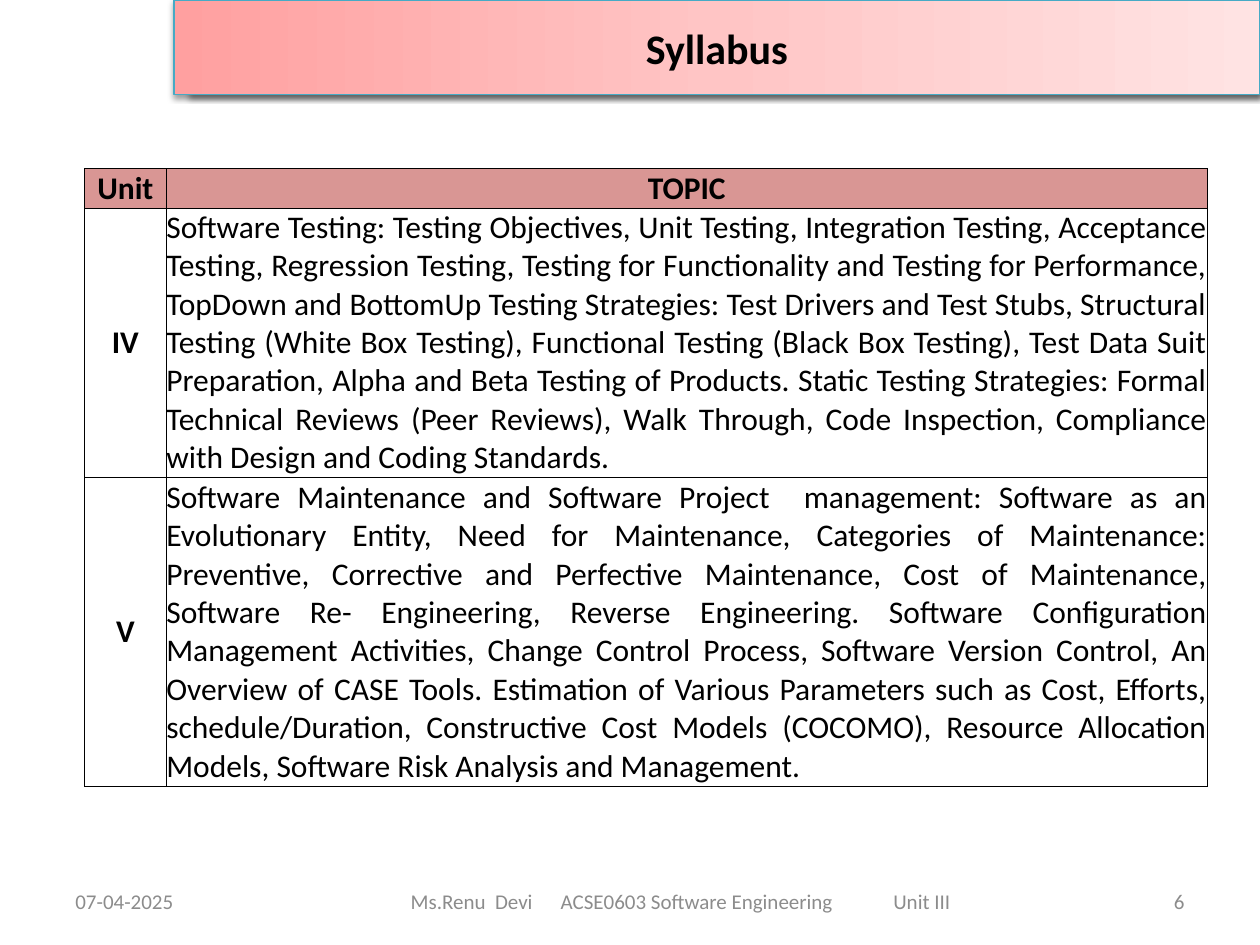
"""Build the syllabus slide: title banner, unit table and footer."""
import copy

import pptx
import pptx.dml.color
import pptx.enum.shapes
import pptx.enum.text
import pptx.oxml
import pptx.oxml.ns
import pptx.util

ALIGN = pptx.enum.text.PP_ALIGN
MIDDLE = pptx.enum.text.MSO_ANCHOR.MIDDLE
NS = pptx.oxml.ns.nsdecls("a")
W, H = 10, 7.5
FONT = "Calibri"
BLACK, GREY, WHITE = "000000", "8C8C8C", "FFFFFF"
ROSE, RED, TEAL = "D99694", "C0504D", "46AAC5"
GRADIENT = ["FFA0A0", "FFC5C5", "FFE3E3"]

HEADERS = ["Unit", "TOPIC"]
UNITS = [
    ("IV", "Software Testing: Testing Objectives, Unit Testing, Integration Testing, "
     "Acceptance Testing, Regression Testing, Testing for Functionality and Testing for "
     "Performance, TopDown and BottomUp Testing Strategies: Test Drivers and Test Stubs, "
     "Structural Testing (White Box Testing), Functional Testing (Black Box Testing), Test "
     "Data Suit Preparation, Alpha and Beta Testing of Products. Static Testing Strategies: "
     "Formal Technical Reviews (Peer Reviews), Walk Through, Code Inspection, Compliance "
     "with Design and Coding Standards."),
    ("V", "Software Maintenance and Software Project  management: Software as an "
     "Evolutionary Entity, Need for Maintenance, Categories of Maintenance: Preventive, "
     "Corrective and Perfective Maintenance, Cost of Maintenance, Software Re- Engineering, "
     "Reverse Engineering. Software Configuration Management Activities, Change Control "
     "Process, Software Version Control, An Overview of CASE Tools. Estimation of Various "
     "Parameters such as Cost, Efforts, schedule/Duration, Constructive Cost Models "
     "(COCOMO), Resource Allocation Models, Software Risk Analysis and Management."),
]


def rgb(value):
    """Turn a hex string into a colour."""
    return pptx.dml.color.RGBColor.from_string(value)


def inches(*values):
    """Turn numbers into lengths in inches."""
    return [pptx.util.Inches(v) for v in values]


def write(tf, text, size, color, align, bold=False):
    """Put one run into the first paragraph of a text frame."""
    tf.word_wrap = True
    p = tf.paragraphs[0]
    p.alignment = align
    r = p.add_run()
    r.text = text
    r.font.name = FONT
    r.font.size = pptx.util.Pt(size)
    r.font.bold = bold
    r.font.color.rgb = rgb(color)
    return p


def shadowed_bar(s, box, color):
    """Draw a bar with a thin outline and a soft shadow."""
    sp = s.shapes.add_shape(pptx.enum.shapes.MSO_SHAPE.RECTANGLE, *inches(*box))
    sp.fill.solid()
    sp.fill.fore_color.rgb = rgb(color)
    sp.line.color.rgb = rgb(TEAL)
    sp.line.width = pptx.util.Pt(0.75)
    sp.shadow.inherit = False
    effects = sp._element.spPr.find(pptx.oxml.ns.qn("a:effectLst"))
    effects.append(pptx.oxml.parse_xml(
        f'<a:outerShdw {NS} blurRad="40000" dist="20000" dir="5400000" rotWithShape="0">'
        f'<a:srgbClr val="{BLACK}"><a:alpha val="38000"/></a:srgbClr></a:outerShdw>'))
    return sp


def banner(s, box, title):
    """Layer the gradient title bar over a bar that deepens its shadow."""
    x, y, w, h = box
    inset = 0.12
    shadowed_bar(s, (x + inset, y, w - inset, h), RED)
    sp = shadowed_bar(s, box, GRADIENT[0])
    sp.fill.gradient()
    sp.fill.gradient_angle = 0
    first = sp.fill.gradient_stops[0]._gs
    first.addnext(copy.deepcopy(first))
    for i, (stop, color) in enumerate(zip(sp.fill.gradient_stops, GRADIENT)):
        stop.color.rgb = rgb(color)
        stop.position = i / (len(GRADIENT) - 1)
    sp.text_frame.vertical_anchor = MIDDLE
    write(sp.text_frame, title, 24, BLACK, ALIGN.CENTER, True)


def style_cell(cell, text, align, bold, fill):
    """Fill, border and label one table cell."""
    cell.margin_left = cell.margin_right = cell.margin_top = cell.margin_bottom = 0
    cell.vertical_anchor = MIDDLE
    cell.fill.solid()
    cell.fill.fore_color.rgb = rgb(fill)
    for i, side in enumerate("LRTB"):
        cell._tc.tcPr.insert(i, pptx.oxml.parse_xml(
            f'<a:ln{side} {NS} w="6350"><a:solidFill><a:srgbClr val="{BLACK}"/>'
            f'</a:solidFill></a:ln{side}>'))
    write(cell.text_frame, text, 18, BLACK, align, bold)


def unit_table(s, box, widths, heights):
    """Lay out the header row and one row for each unit."""
    rows = [HEADERS, *UNITS]
    table = s.shapes.add_table(len(rows), len(HEADERS), *inches(*box)).table
    table.first_row = table.horz_banding = False
    for column, width in zip(table.columns, inches(*widths)):
        column.width = width
    for row, height in zip(table.rows, inches(*heights)):
        row.height = height
    for i, texts in enumerate(rows):
        for j, text in enumerate(texts):
            topic = i > 0 and j > 0
            style_cell(table.cell(i, j), text, ALIGN.JUSTIFY if topic else ALIGN.CENTER,
                       not topic, WHITE if i else ROSE)


def footer_text(s, box, text, align):
    """Add one grey footer box."""
    tf = s.shapes.add_textbox(*inches(*box)).text_frame
    tf.vertical_anchor = MIDDLE
    return tf, write(tf, text, 12, GREY, align)


def footer(s, box):
    """Place the date, the course line and the slide number."""
    x, y, w, h = box
    side = w * 0.26
    footer_text(s, (x, y, side, h), "07-04-2025", ALIGN.LEFT)
    footer_text(s, (x + w - side, y, side, h), "6", ALIGN.RIGHT)
    tf, p = footer_text(s, (x + w / 4, y, w * 0.61, h),
                        "Ms.Renu  Devi\tACSE0603 Software Engineering\tUnit III", ALIGN.LEFT)
    tf.margin_left = pptx.util.Inches(0.51)
    stops = "".join(f'<a:tab pos="{pos}" algn="l"/>' for pos in inches(1.19, 3.83))
    p._p.get_or_add_pPr().append(pptx.oxml.parse_xml(f"<a:tabLst {NS}>{stops}</a:tabLst>"))


def main():
    """Assemble and save the slide."""
    prs = pptx.Presentation()
    prs.slide_width, prs.slide_height = inches(W, H)
    s = prs.slides.add_slide(prs.slide_layouts[6])
    footer(s, (W * 0.05, 6.95, W * 0.9, 0.4))
    unit_table(s, (0.67, 1.34, 8.91, 4.9), (0.65, 8.26), (0.31, 2.14, 2.45))
    banner(s, (1.38, 0, W - 1.38, H * 0.1), "Syllabus")
    prs.save("out.pptx")


if __name__ == "__main__":
    main()
